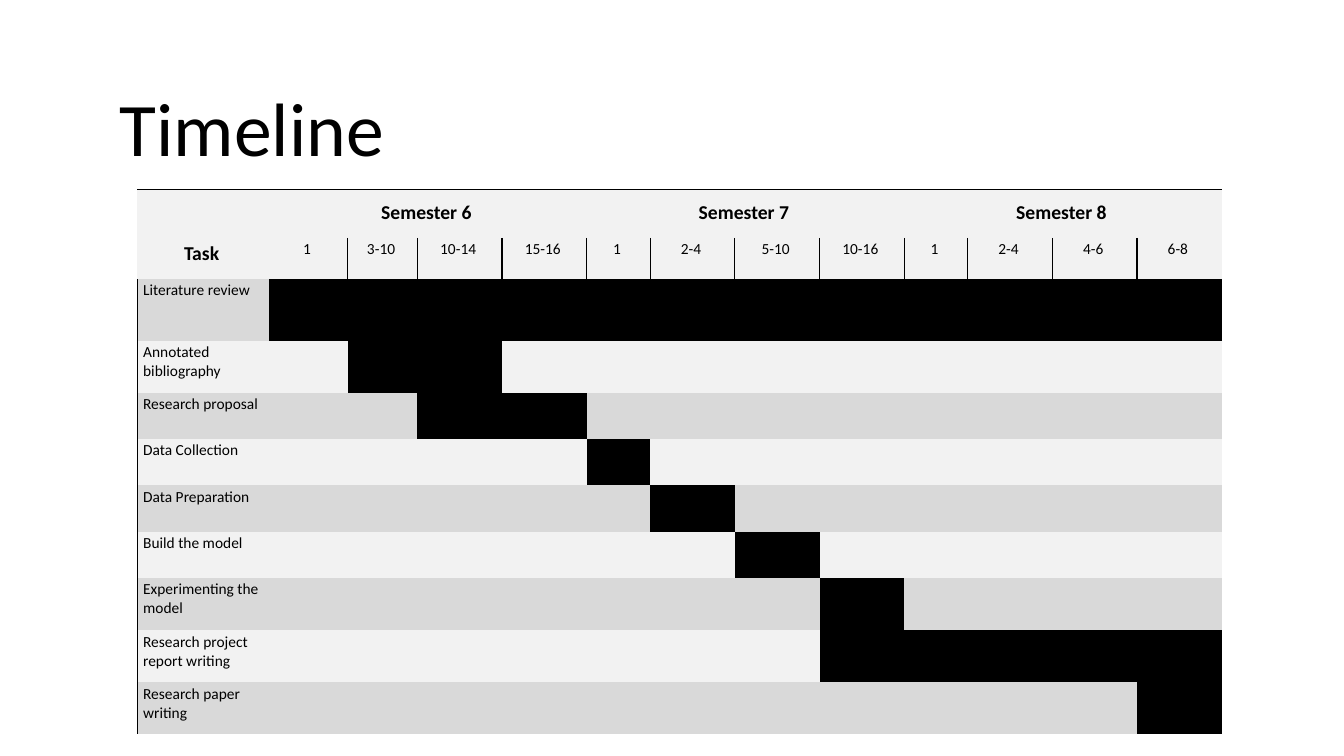
from lxml.etree import SubElement as Sub
from pptx import Presentation
from pptx.dml.color import RGBColor as RGB
from pptx.enum.text import MSO_ANCHOR as Anchor, PP_ALIGN as Align
from pptx.oxml.ns import qn
from pptx.util import Inches, Pt

BLACK, LIGHT, DARK = "000000", "F2F2F2", "D9D9D9"


def write(frame, text, size=11, bold=False, align=Align.LEFT, space=1.0):
    frame.word_wrap = True
    para = frame.paragraphs[0]
    para.alignment, para.line_spacing = align, space
    run = para.add_run()
    run.text = text
    font = run.font
    font.name, font.size, font.bold = "Calibri", Pt(size), bold
    font.color.rgb = RGB.from_string(BLACK)


def paint(cell, fill, sides="", width=1):
    # Borders come before the fill in the cell's properties
    props = cell._tc.get_or_add_tcPr()
    for side in sides:
        line = Sub(props, qn(f"a:ln{side}"), w=str(Pt(width)))
        Sub(Sub(line, qn("a:solidFill")), qn("a:srgbClr"), val=BLACK)
    cell.fill.solid()
    cell.fill.fore_color.rgb = RGB.from_string(fill)


deck = Presentation()
deck.slide_width, deck.slide_height = Inches(13.33), Inches(7.5)
slide = deck.slides.add_slide(deck.slide_layouts[6])

# Title
title = slide.shapes.add_textbox(
    Inches(1.09), Inches(0.18), Inches(6.56), Inches(2.26)).text_frame
title.vertical_anchor = Anchor.MIDDLE
write(title, "Timeline", size=54, space=0.9)

# Plan: task, first and last busy column
terms = ["Semester 6", "Semester 7", "Semester 8"]
weeks = ["1", "3-10", "10-14", "15-16", "1", "2-4", "5-10", "10-16",
         "1", "2-4", "4-6", "6-8"]
tasks = [
    ("Literature review", 1, 12),
    ("Annotated bibliography", 2, 3),
    ("Research proposal", 3, 4),
    ("Data Collection", 5, 5),
    ("Data Preparation", 6, 6),
    ("Build the model", 7, 7),
    ("Experimenting the model", 8, 8),
    ("Research project report writing", 8, 12),
    ("Research paper writing", 12, 12),
]
widths = [1.31, 0.78, 0.69, 0.84, 0.84] + [0.63, 0.84, 0.84, 0.84] * 2
heights = [0.48, 0.41, 0.61] + [0.46] * 8

# Grid
frame = slide.shapes.add_table(
    len(heights), len(widths), Inches(1.36), Inches(1.88),
    Inches(sum(widths)), Inches(sum(heights)))
grid = frame.table
grid.horz_banding = False
style = grid._tbl.tblPr.find(qn("a:tableStyleId"))
style.text = "{2D5ABB26-0587-4C30-8999-92F81FD0307C}"  # no style, no grid
for col, width in zip(grid.columns, widths):
    col.width = Inches(width)
for row, height in zip(grid.rows, heights):
    row.height = Inches(height)

# Header fills and rules
last = len(weeks)
for col in range(last + 1):
    paint(grid.cell(0, col), LIGHT, "T")
    sides = ("L" if col > 1 else "") + ("R" if 0 < col < last else "")
    paint(grid.cell(1, col), LIGHT, sides)

# Header labels
head = dict(size=14, bold=True, align=Align.CENTER)
labels = [(0, 0, "Task", head)]
grid.cell(0, 0).merge(grid.cell(1, 0))
for num, term in enumerate(terms):
    col = 1 + 4 * num
    grid.cell(0, col).merge(grid.cell(0, col + 3))
    labels.append((0, col, term, head))
for col, week in enumerate(weeks, 1):
    labels.append((1, col, week, dict(align=Align.CENTER)))

# Task bars
for row, (task, start, end) in enumerate(tasks, 2):
    band = LIGHT if row % 2 else DARK
    paint(grid.cell(row, 0), band, "L", width=0.5)
    for col in range(1, last + 1):
        paint(grid.cell(row, col), BLACK if start <= col <= end else band)
    labels.append((row, 0, task, {}))

# Cell text
for row, col, text, form in labels:
    cell = grid.cell(row, col)
    cell.margin_left, cell.margin_right = Inches(0.06), Inches(0.09)
    cell.margin_top, cell.margin_bottom = Inches(0.02), Inches(0.13)
    cell.vertical_anchor = Anchor.BOTTOM if row == 0 else Anchor.TOP
    write(cell.text_frame, text, **form)

deck.save("out.pptx")
